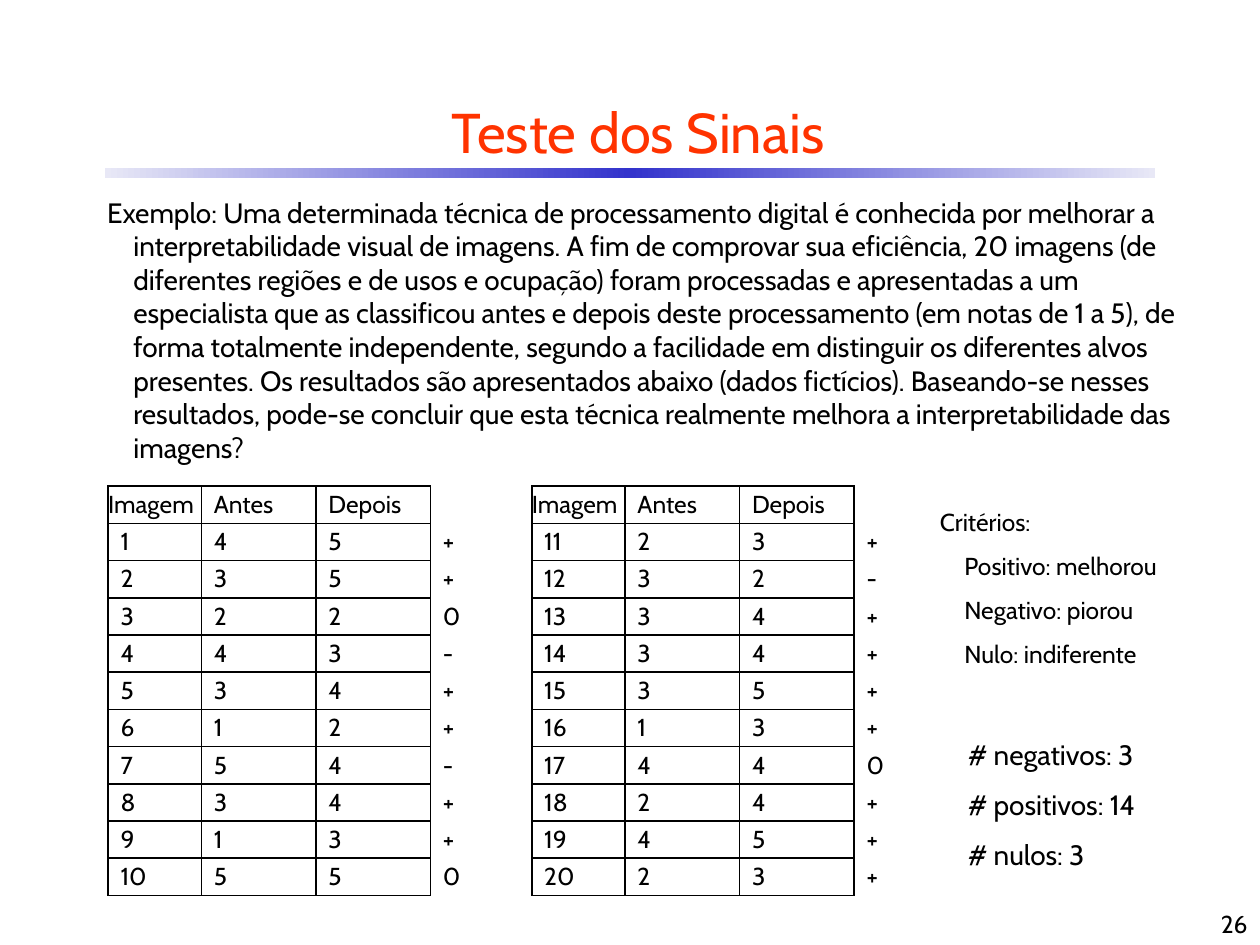
from copy import deepcopy

from lxml import etree
from pptx import Presentation
from pptx.dml.color import RGBColor
from pptx.enum.shapes import MSO_SHAPE
from pptx.enum.text import MSO_ANCHOR, PP_ALIGN
from pptx.oxml.ns import qn
from pptx.util import Cm, Pt

RECT = MSO_SHAPE.RECTANGLE
TOP, MIDDLE, BOTTOM = MSO_ANCHOR.TOP, MSO_ANCHOR.MIDDLE, MSO_ANCHOR.BOTTOM
LEFT, CENTER, RIGHT = PP_ALIGN.LEFT, PP_ALIGN.CENTER, PP_ALIGN.RIGHT

FONT = "Cabin"
COLORS = {"text": "000000", "title": "FF3300", "paper": "FFFFFF",
          "edge": "E8E8F6", "core": "3333CC"}
NO_GRID = "{2D5ABB26-0587-4C30-8999-92F81FD0307C}"
HANG = 0.53
ROW = 0.75
COLS = [1.88, 2.31, 2.31, 1.05]
HEADS = ["Imagem", "Antes", "Depois", ""]
BEFORE = [4, 3, 2, 4, 3, 1, 5, 3, 1, 5, 2, 3, 3, 3, 3, 1, 4, 2, 4, 2]
AFTER = [5, 5, 2, 3, 4, 2, 4, 4, 3, 5, 3, 2, 4, 4, 5, 3, 4, 4, 5, 3]
HALF = 10

QUESTION = (
    "Exemplo: Uma determinada técnica de processamento digital é conhecida "
    "por melhorar a interpretabilidade visual de imagens. A fim de comprovar "
    "sua eficiência, 20 imagens (de diferentes regiões e de usos e ocupação) "
    "foram processadas e apresentadas a um especialista que as classificou "
    "antes e depois deste processamento (em notas de 1 a 5), de forma "
    "totalmente independente, segundo a facilidade em distinguir os "
    "diferentes alvos presentes. Os resultados são apresentados abaixo (dados "
    "fictícios). Baseando-se nesses resultados, pode-se concluir que esta "
    "técnica realmente melhora a interpretabilidade das imagens?")


def rgb(name):
    return RGBColor.from_string(COLORS[name])


def style(run, size, color="text"):
    look = {"name": FONT, "size": Pt(size)}
    for key, value in look.items():
        setattr(run.font, key, value)
    run.font.color.rgb = rgb(color)


def add_text(slide, box, lines, size, color="text", align=LEFT, anchor=TOP,
             space=None):
    """Place lines given as (text, left margin in cm or None)."""
    frame = slide.shapes.add_textbox(*map(Cm, box)).text_frame
    frame.word_wrap = True
    frame.vertical_anchor = anchor
    for i, (text, margin) in enumerate(lines):
        para = frame.add_paragraph() if i else frame.paragraphs[0]
        if margin is not None:
            props = para._p.get_or_add_pPr()
            props.set("marL", str(Cm(margin)))
            props.set("indent", str(-Cm(HANG)))
        para.alignment = align
        if space:
            para.line_spacing = space
        run = para.add_run()
        run.text = text
        style(run, size, color)


def add_bar(slide, box):
    bar = slide.shapes.add_shape(RECT, *map(Cm, box))
    bar.shadow.inherit = False
    bar.line.fill.background()
    bar.fill.gradient()
    bar.fill.gradient_angle = 0
    stops = next(bar._element.iter(qn("a:gsLst")))
    stops.append(deepcopy(stops[-1]))
    for stop, place, name in zip(bar.fill.gradient_stops, (0, 0.5, 1),
                                 ("edge", "core", "edge")):
        stop.position = place
        stop.color.rgb = rgb(name)


def add_edges(cell, sides):
    props = cell._tc.get_or_add_tcPr()
    for side in sides:
        line = etree.SubElement(props, qn("a:ln" + side), w=str(Pt(1)))
        fill = etree.SubElement(line, qn("a:solidFill"))
        etree.SubElement(fill, qn("a:srgbClr"), val=COLORS["text"])


def fill_cell(cell, text, pad):
    look = {"margin_left": Cm(pad), "margin_right": Cm(pad), "margin_top": 0,
            "margin_bottom": 0, "vertical_anchor": MIDDLE}
    for key, value in look.items():
        setattr(cell, key, value)
    para = cell.text_frame.paragraphs[0]
    if text:
        run = para.add_run()
        run.text = text
        style(run, 14)
    else:
        etree.SubElement(para._p, qn("a:endParaRPr"), sz="1400")


def add_grid(slide, left, top, widths, rows, ruled):
    """Add a table; a ruled one is white, with lines except round its last column."""
    size = (sum(widths), ROW * len(rows))
    grid = slide.shapes.add_table(len(rows), len(widths),
                                  *map(Cm, (left, top, *size))).table
    grid.first_row = grid.horz_banding = False
    grid._tbl.tblPr.find(qn("a:tableStyleId")).text = NO_GRID
    for col, width in zip(grid.columns, widths):
        col.width = Cm(width)
    for r, row in enumerate(rows):
        grid.rows[r].height = Cm(ROW)
        for c, text in enumerate(row):
            cell = grid.cell(r, c)
            fill_cell(cell, text, 0 if text == HEADS[0] else 0.25)
            if ruled:
                add_edges(cell, "L" if c == len(widths) - 1 else "LRTB")
                cell.fill.solid()
                cell.fill.fore_color.rgb = rgb("paper")
            else:
                cell.fill.background()


def sign(old, new):
    return "+" if new > old else "-" if new < old else "0"


def add_scores(slide, left, top, first):
    """Add the scores of ten images and, beside them, their signs."""
    part = range(first, first + HALF)
    rows = [[str(i + 1), str(BEFORE[i]), str(AFTER[i]), ""] for i in part]
    signs = [[sign(BEFORE[i], AFTER[i])] for i in part]
    add_grid(slide, left, top, COLS, [HEADS] + rows, True)
    add_grid(slide, left + sum(COLS[:-1]), top, COLS[-1:], [[""]] + signs,
             False)


def add_notes(slide, left, top):
    """Add the criteria and, below them, the count of each sign."""
    rules = ["Positivo: melhorou", "Negativo: piorou", "Nulo: indiferente"]
    add_text(slide, (left, top, 5.77, 3.86),
             [("Critérios:", HANG)] + [(rule, 1.02) for rule in rules],
             14, space=1.5)
    signs = [sign(old, new) for old, new in zip(BEFORE, AFTER)]
    kinds = {"negativos": "-", "positivos": "+", "nulos": "0"}
    add_text(slide, (left + 0.56, top + 4.6, 5.77, 3.2),
             [(f"# {kind}: {signs.count(mark)}", HANG)
              for kind, mark in kinds.items()], 16, space=1.5)


def main():
    deck = Presentation()
    deck.slide_width, deck.slide_height = Cm(25.4), Cm(19.05)
    slide = deck.slides.add_slide(deck.slide_layouts[6])
    add_bar(slide, (2.12, 3.39, 21.17, 0.2))
    add_text(slide, (0.84, 1.7, 24.05, 1.9), [("Teste dos Sinais", None)],
             32, "title", CENTER, MIDDLE)
    add_text(slide, (1.91, 3.81, 22.55, 5.74), [(QUESTION, HANG)], 16)
    for left, first in ((2.18, 0), (10.72, HALF)):
        add_scores(slide, left, 9.8, first)
    add_notes(slide, 18.7, 9.8)
    add_text(slide, (20.12, 17.78, 5.28, 1.27), [("26", None)], 14,
             align=RIGHT, anchor=BOTTOM)
    deck.save("out.pptx")


if __name__ == "__main__":
    main()
